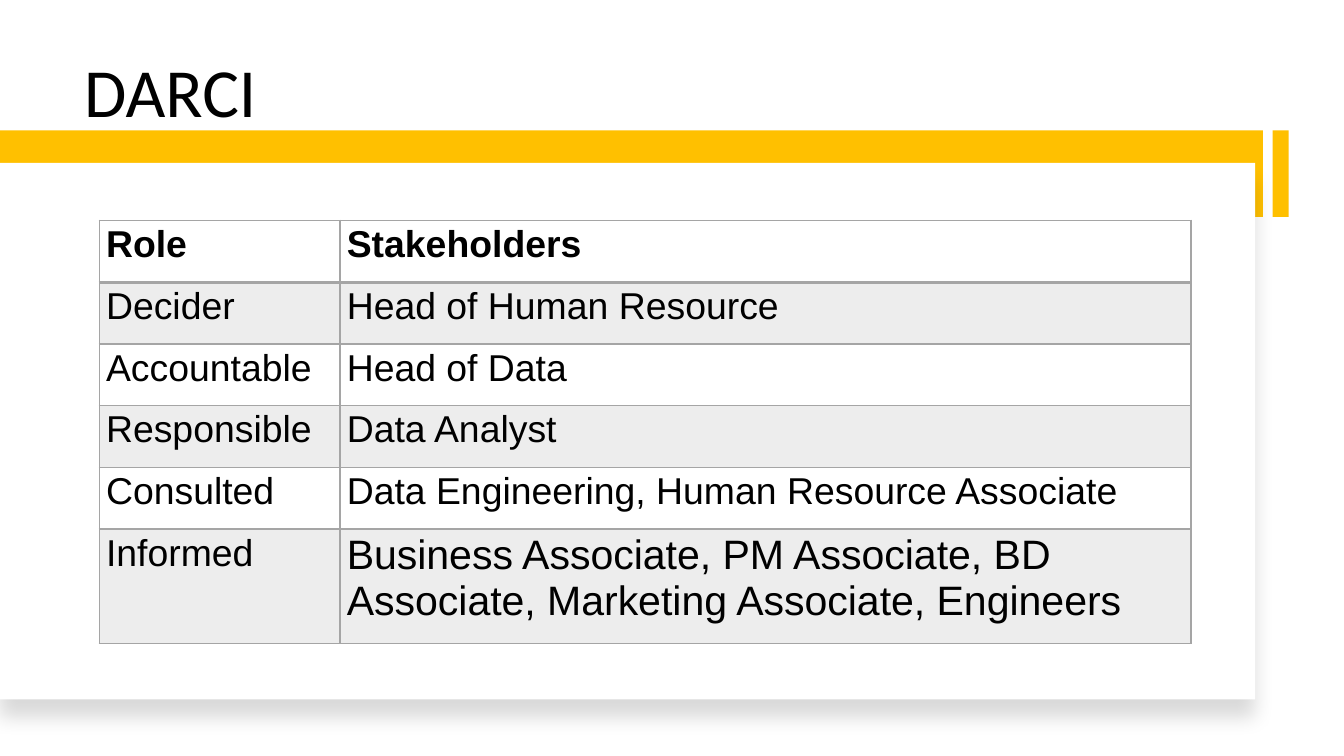
"""Build the DARCI slide: a title, a yellow band, a white card and a role table."""
from dataclasses import dataclass

from lxml import etree
from pptx import Presentation
from pptx.dml.color import RGBColor
from pptx.enum.shapes import MSO_SHAPE
from pptx.enum.text import MSO_ANCHOR, MSO_AUTO_SIZE, PP_ALIGN
from pptx.oxml.ns import qn
from pptx.util import Pt

RECT = MSO_SHAPE.RECTANGLE
TOP, BOTTOM = MSO_ANCHOR.TOP, MSO_ANCHOR.BOTTOM
LEFT = PP_ALIGN.LEFT
NO_FIT = MSO_AUTO_SIZE.NONE
TITLE_ONLY = 5

COLORS = {
    "text": "000000",
    "accent": "FFC000",
    "card": "FFFFFF",
    "border": "A5A5A5",
    "band": "EDEDED",
    "shadow": "000000",
}


@dataclass
class Box:
    left: float
    top: float
    width: float
    height: float
    color: str
    shadow: bool = False


@dataclass
class Row:
    role: str
    stakeholders: str
    height: float = 33.1
    size: float = 20


BOXES = [
    Box(681.8, 69.9, 8.6, 46.3, "accent"),
    Box(0, 69.9, 676.6, 46.3, "accent"),
    Box(0, 87.3, 672.5, 287.5, "card", shadow=True),
]
COLUMNS = [129, 455.8]
ROWS = [
    Row("Role", "Stakeholders"),
    Row("Decider", "Head of Human Resource"),
    Row("Accountable", "Head of Data"),
    Row("Responsible", "Data Analyst"),
    Row("Consulted", "Data Engineering, Human Resource Associate"),
    Row("Informed", "Business Associate, PM Associate, BD Associate, "
        "Marketing Associate, Engineers", 61.2, 22),
]


def rgb(name: str) -> RGBColor:
    return RGBColor.from_string(COLORS[name])


def add_shadow(s) -> None:
    effects = s._element.spPr.find(qn("a:effectLst"))
    outer = etree.SubElement(effects, qn("a:outerShdw"), blurRad=str(Pt(11)),
                             dist=str(Pt(10)), dir="5400000", algn="t", rotWithShape="0")
    color = etree.SubElement(outer, qn("a:srgbClr"), val=COLORS["shadow"])
    etree.SubElement(color, qn("a:alpha"), val="15000")


def add_box(slide, box: Box) -> None:
    s = slide.shapes.add_shape(RECT, Pt(box.left), Pt(box.top), Pt(box.width), Pt(box.height))
    s.shadow.inherit = False
    s.fill.solid()
    s.fill.fore_color.rgb = rgb(box.color)
    s.line.fill.background()
    if box.shadow:
        add_shadow(s)


def set_borders(cell, top: float, bottom: float) -> None:
    props = cell._tc.get_or_add_tcPr()
    widths = {"a:lnL": 1, "a:lnR": 1, "a:lnT": top, "a:lnB": bottom}
    for i, (tag, width) in enumerate(widths.items()):
        line = etree.Element(qn(tag), w=str(Pt(width)))
        fill = etree.SubElement(line, qn("a:solidFill"))
        etree.SubElement(fill, qn("a:srgbClr"), val=COLORS["border"])
        props.insert(i, line)


def format_cell(cell, text: str, size: float, row: int) -> None:
    cell.text = text
    cell.vertical_anchor = TOP
    cell.margin_left = cell.margin_right = Pt(3.6)
    cell.margin_top = cell.margin_bottom = Pt(1.8)
    p = cell.text_frame.paragraphs[0]
    p.font.name = "Arial"
    p.font.size = Pt(size)
    p.font.bold = row == 0
    p.font.color.rgb = rgb("text")
    if row % 2:
        cell.fill.solid()
        cell.fill.fore_color.rgb = rgb("band")
    else:
        cell.fill.background()
    set_borders(cell, 2 if row == 1 else 1, 2 if row == 0 else 1)


def add_role_table(slide, left: float, top: float) -> None:
    height = sum(row.height for row in ROWS)
    table = slide.shapes.add_table(len(ROWS), len(COLUMNS), Pt(left), Pt(top),
                                   Pt(sum(COLUMNS)), Pt(height)).table
    table.horz_banding = False
    table.first_row = False
    for column, width in zip(table.columns, COLUMNS):
        column.width = Pt(width)
    for i, row in enumerate(ROWS):
        table.rows[i].height = Pt(row.height)
        format_cell(table.cell(i, 0), row.role, 20, i)
        format_cell(table.cell(i, 1), row.stakeholders, row.size, i)


def set_title(slide, text: str) -> None:
    s = slide.shapes.title
    s.left, s.top, s.width, s.height = Pt(39.8), Pt(27.4), Pt(153.4), Pt(46)
    tf = s.text_frame
    tf.text = text
    tf.word_wrap = True
    tf.auto_size = NO_FIT
    tf.vertical_anchor = BOTTOM
    tf.margin_left = tf.margin_right = Pt(5.3)
    tf.margin_top = tf.margin_bottom = Pt(2.7)
    p = tf.paragraphs[0]
    p.alignment = LEFT
    p.line_spacing = 0.9
    p.font.name = "Calibri"
    p.font.size = Pt(36.9)
    p.font.color.rgb = rgb("text")


def main() -> None:
    prs = Presentation()
    prs.slide_width, prs.slide_height = Pt(720), Pt(405)
    slide = prs.slides.add_slide(prs.slide_layouts[TITLE_ONLY])
    set_title(slide, "DARCI")
    for box in BOXES:
        add_box(slide, box)
    add_role_table(slide, 53.2, 118.1)
    prs.save("out.pptx")


if __name__ == "__main__":
    main()
